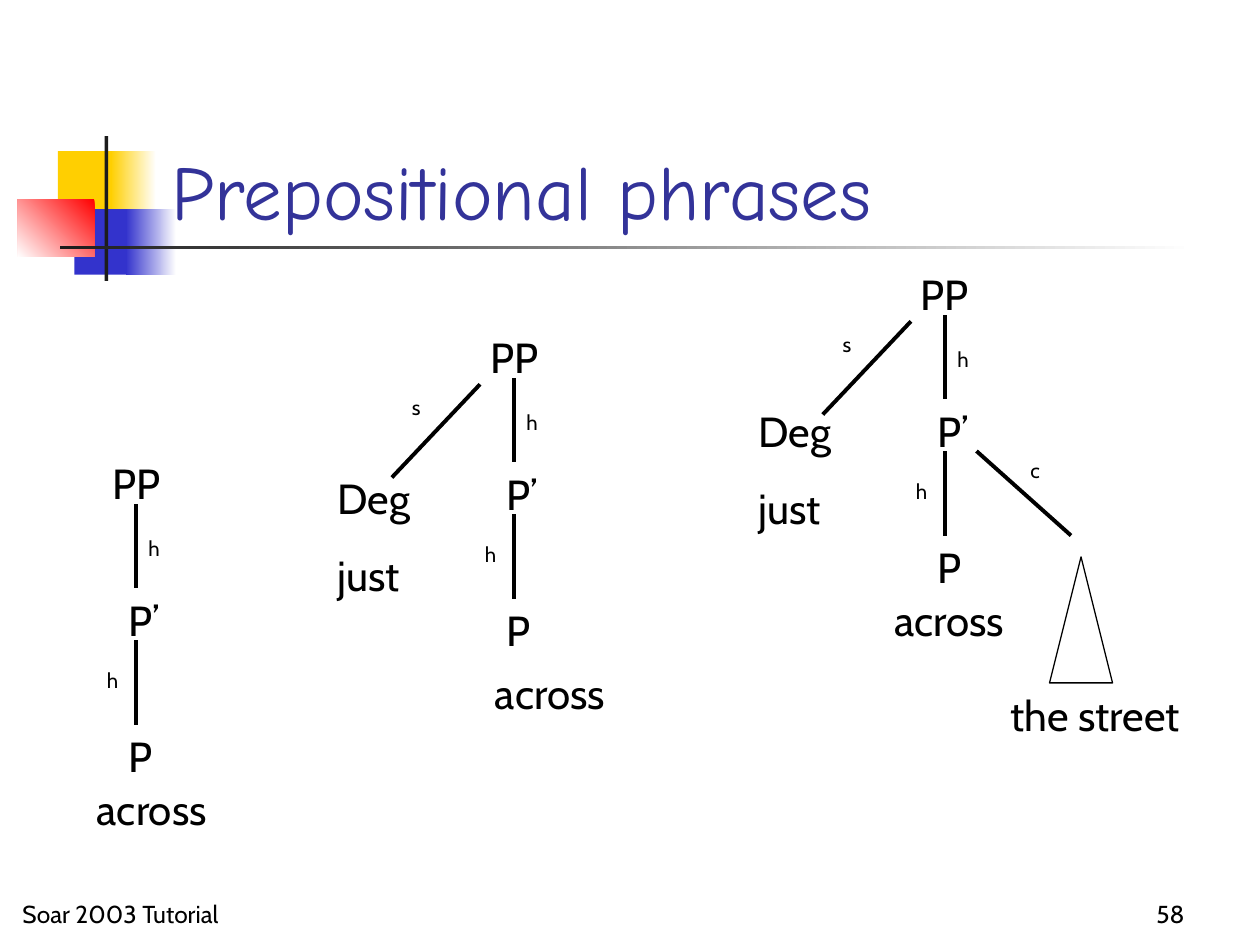
"""Build a slide with three syntax trees of prepositional phrases."""
from dataclasses import dataclass
from typing import Optional

import pptx
import pptx.dml.color
import pptx.enum.shapes
import pptx.enum.text
import pptx.oxml
import pptx.oxml.ns
import pptx.util
from pptx.util import Inches

ALIGN = pptx.enum.text.PP_ALIGN
ANCHOR = pptx.enum.text.MSO_ANCHOR
SHAPE = pptx.enum.shapes.MSO_SHAPE


@dataclass(frozen=True)
class Theme:
    title_font: str = "Comic Neue"
    body_font: str = "Cabin"
    title_size: float = 44
    node_size: float = 24
    footer_size: float = 14
    label_size: float = 12
    branch_width: float = 2.25
    outline_width: float = 0.75
    title: str = "333399"
    ink: str = "000000"
    white: str = "FFFFFF"
    yellow: str = "FFCF01"
    blue: str = "3333CC"
    red: str = "FF0000"
    dark: str = "1C1C1C"


THEME = Theme()


@dataclass(frozen=True)
class Block:
    left: float
    top: float
    width: float
    height: float
    start: str
    end: Optional[str] = None
    angle: float = 180


@dataclass(frozen=True)
class Tree:
    stem: float
    top: float
    word_dx: float
    word_dy: float
    degree: Optional[tuple[float, float]] = None
    complement: bool = False


BLOCKS = [
    Block(0.46, 1.2, 0.48, 0.52, THEME.yellow),
    Block(0.88, 1.2, 0.36, 0.52, THEME.white, THEME.yellow),
    Block(0.59, 1.66, 0.46, 0.52, THEME.blue),
    Block(1, 1.66, 0.4, 0.52, THEME.white, THEME.blue),
    Block(0.14, 1.58, 0.61, 0.46, THEME.red, THEME.white, 225),
    Block(0.83, 1.08, 0.03, 1.15, THEME.dark),
    Block(0.48, 1.95, 9, 0.03, THEME.white, THEME.dark),
]

TREES = [
    Tree(1.08, 4, -0.41, 2.17),
    Tree(4.08, 3, -0.25, 2.25, degree=(-1.5, 0.7)),
    Tree(7.5, 2.5, -0.5, 2.17, degree=(-1.58, 0.67), complement=True),
]


def rgb(value: str) -> pptx.dml.color.RGBColor:
    """Turn a hex string into a colour."""
    return pptx.dml.color.RGBColor.from_string(value)


def add_span(para, text: str, font: str, size: float, color: str) -> None:
    """Add one formatted run to a paragraph."""
    span = para.add_run()
    span.text = text
    span.font.name = font
    span.font.size = pptx.util.Pt(size)
    span.font.color.rgb = rgb(color)


def add_text(shapes, lines: list[str], left: float, top: float, width: float, height: float = 0.5,
             size: float = THEME.node_size, align=ALIGN.LEFT, anchor=ANCHOR.TOP, wrap: bool = True) -> None:
    """Add a text box with one paragraph per line."""
    box = shapes.add_textbox(Inches(left), Inches(top), Inches(width), Inches(height))
    frame = box.text_frame
    frame.word_wrap = wrap
    frame.vertical_anchor = anchor
    for index, line in enumerate(lines):
        para = frame.add_paragraph() if index else frame.paragraphs[0]
        para.alignment = align
        if index:
            para.space_before = pptx.util.Pt(15)
        add_span(para, line, THEME.body_font, size, THEME.ink)


def add_block(shapes, block: Block) -> None:
    """Add a decorative rectangle, solid or graded."""
    shape = shapes.add_shape(SHAPE.RECTANGLE, Inches(block.left), Inches(block.top),
                             Inches(block.width), Inches(block.height))
    shape.shadow.inherit = False
    shape.line.fill.background()
    if block.end is None:
        shape.fill.solid()
        shape.fill.fore_color.rgb = rgb(block.start)
        return
    shape.fill.gradient()
    shape.fill.gradient_angle = block.angle
    for stop, color in zip(shape.fill.gradient_stops, (block.start, block.end)):
        stop.color.rgb = rgb(color)


def add_branch(shapes, x1: float, y1: float, x2: float, y2: float) -> None:
    """Add a straight tree branch."""
    branch = shapes.add_connector(pptx.enum.shapes.MSO_CONNECTOR.STRAIGHT,
                                  Inches(x1), Inches(y1), Inches(x2), Inches(y2))
    branch.line.color.rgb = rgb(THEME.ink)
    branch.line.width = pptx.util.Pt(THEME.branch_width)
    branch.element.spPr.append(pptx.oxml.parse_xml(f"<a:effectLst {pptx.oxml.ns.nsdecls('a')}/>"))


def add_label(shapes, text: str, left: float, top: float) -> None:
    """Add a small branch label."""
    add_text(shapes, [text], left, top, 0.33, 0.3, THEME.label_size)


def add_tree(page, tree: Tree) -> None:
    """Draw a tree as one group, placed from the top of its stem."""
    shapes = page.shapes.add_group_shape().shapes
    x, y = tree.stem, tree.top
    add_text(shapes, ["PP"], x - 0.29, y - 0.42, 0.58, align=ALIGN.CENTER, anchor=ANCHOR.MIDDLE, wrap=False)
    add_text(shapes, ["P’"], x - 0.16, y + 0.67, 0.58)
    add_text(shapes, ["P"], x - 0.16, y + 1.75, 0.67)
    for offset in (0, 1.08):
        add_branch(shapes, x, y + offset, x, y + offset + 0.67)
    add_label(shapes, "h", x, y + 0.2)
    add_label(shapes, "h", x - 0.33, y + 1.25)
    add_text(shapes, ["across"], x + tree.word_dx, y + tree.word_dy, 1.17, 0.9)
    if tree.degree:
        dx, dy = tree.degree
        add_branch(shapes, x - 0.27, y + 0.05, x - 0.97, y + 0.79)
        add_label(shapes, "s", x - 0.91, y + 0.08)
        add_text(shapes, ["Deg", "just"], x + dx, y + dy, 0.92, 1.11)
    if tree.complement:
        add_branch(shapes, x + 0.25, y + 1.08, x + 1, y + 1.75)
        add_label(shapes, "c", x + 0.58, y + 1.08)
        triangle = shapes.add_shape(SHAPE.ISOSCELES_TRIANGLE, Inches(x + 0.83), Inches(y + 1.92),
                                    Inches(0.5), Inches(1))
        triangle.shadow.inherit = False
        triangle.fill.background()
        triangle.line.color.rgb = rgb(THEME.ink)
        triangle.line.width = pptx.util.Pt(THEME.outline_width)
        add_text(shapes, ["the street"], x + 0.42, y + 2.92, 1.92)


def add_title(page, text: str) -> None:
    """Format the title placeholder and bring it to the front."""
    title = page.shapes.title
    title.left, title.top = Inches(1.26), Inches(0.67)
    title.width, title.height = Inches(8.52), Inches(1.25)
    title.text_frame.vertical_anchor = ANCHOR.BOTTOM
    title.text_frame.auto_size = pptx.enum.text.MSO_AUTO_SIZE.NONE
    para = title.text_frame.paragraphs[0]
    para.alignment = ALIGN.LEFT
    add_span(para, text, THEME.title_font, THEME.title_size, THEME.title)
    title.element.getparent().append(title.element)


def main() -> None:
    """Build and save the deck."""
    deck = pptx.Presentation()
    deck.slide_width, deck.slide_height = Inches(10), Inches(7.5)
    page = deck.slides.add_slide(deck.slide_layouts[5])
    for block in BLOCKS:
        add_block(page.shapes, block)
    add_title(page, "Prepositional phrases")
    for tree in TREES:
        add_tree(page, tree)
    for text, left, align in (("58", 7.42, ALIGN.RIGHT), ("Soar 2003 Tutorial", 0.08, ALIGN.LEFT)):
        add_text(page.shapes, [text], left, 6.92, 2.08, size=THEME.footer_size, align=align, anchor=ANCHOR.BOTTOM)
    deck.save("out.pptx")


if __name__ == "__main__":
    main()
